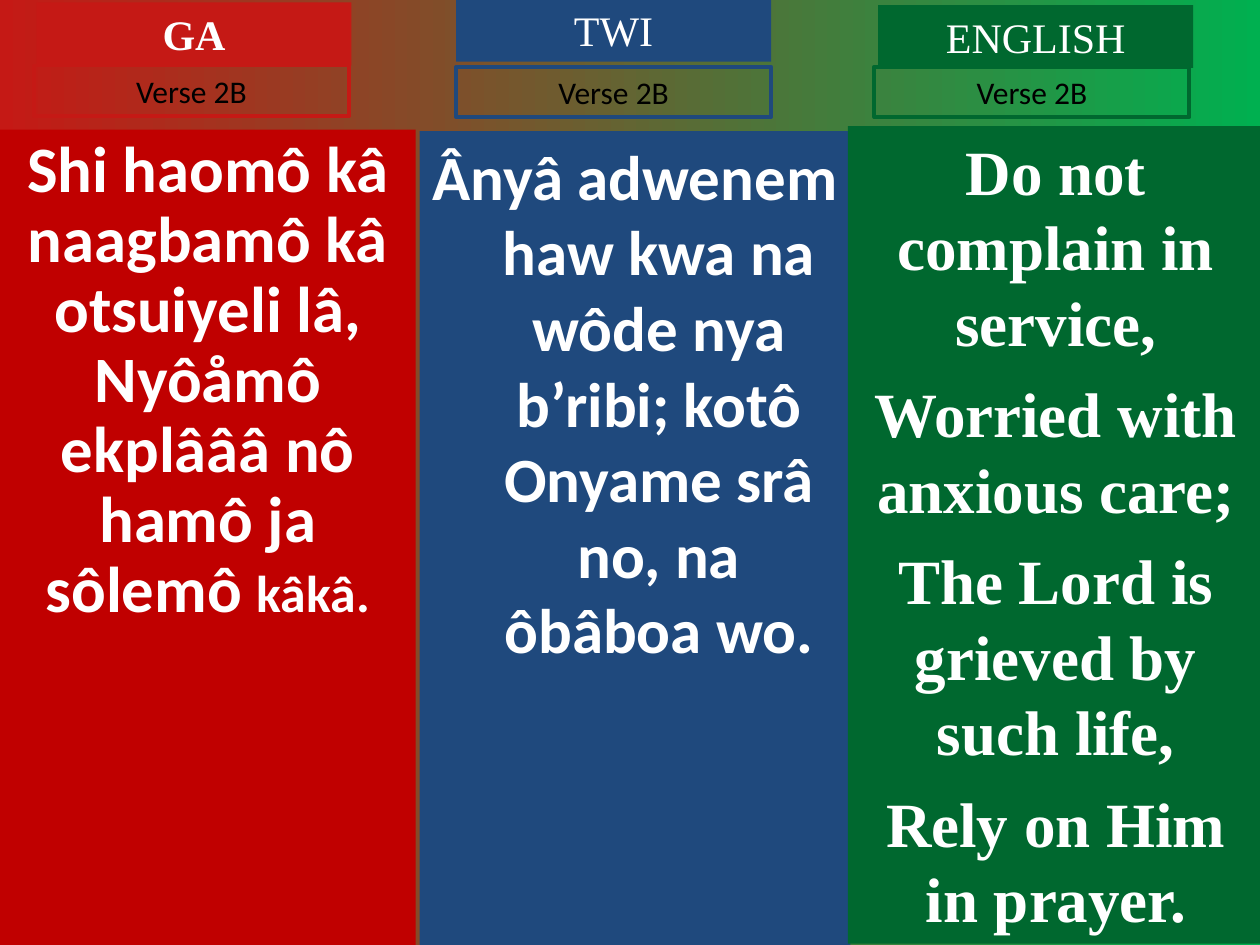
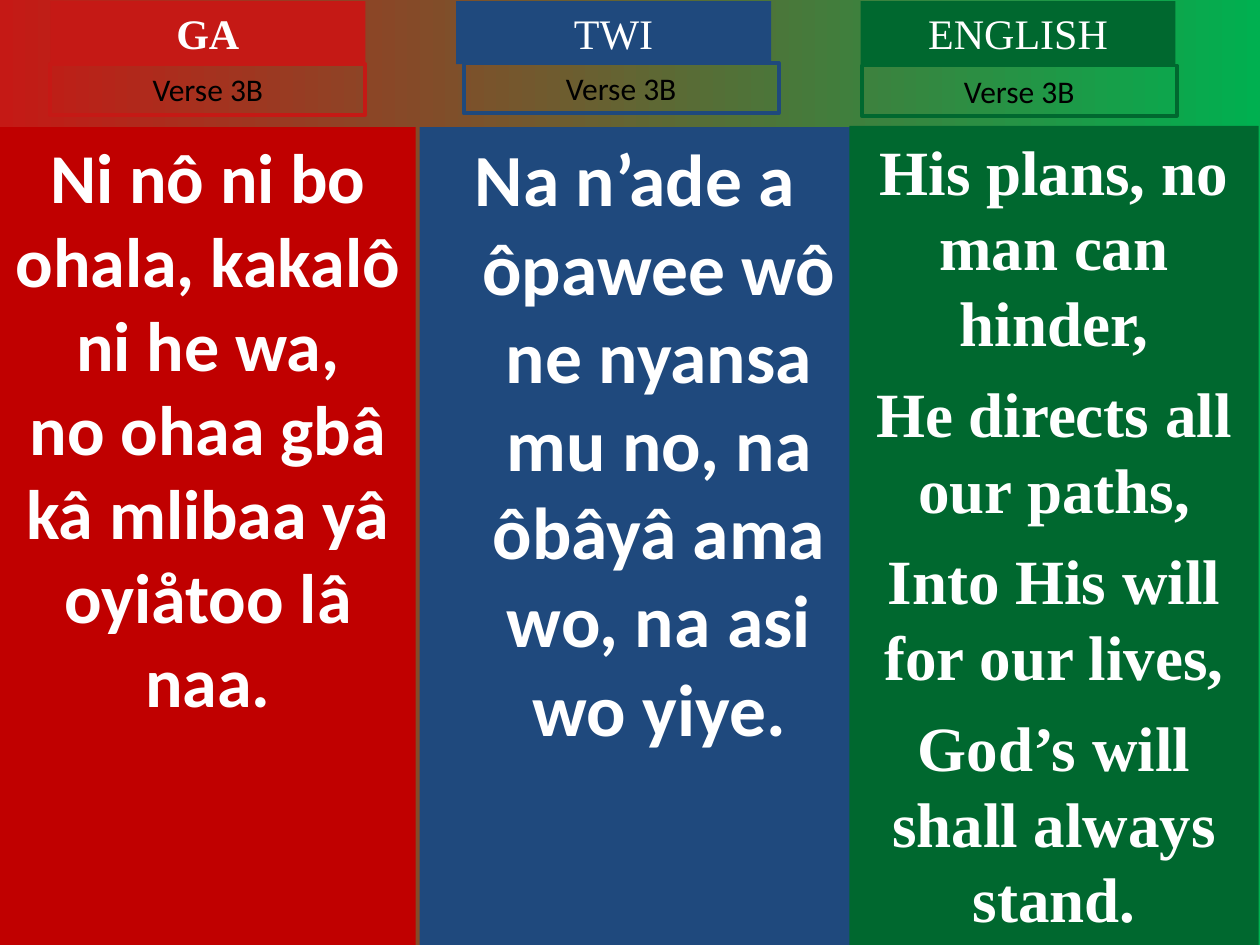
from pptx import Presentation
from pptx.dml.color import RGBColor
from pptx.enum.shapes import MSO_SHAPE as Preset
from pptx.enum.text import MSO_ANCHOR as Anchor, PP_ALIGN as Align
from pptx.util import Inches, Pt

COLORS = {"red": "C51915", "deep red": "C00000", "blue": "1F497D", "green": "00682F",
          "background end": "00B050", "white": "FFFFFF", "black": "000000"}
SANS, SERIF = "Calibri", "Times New Roman"
LANGUAGES = {
    "GA": {"tag": "red", "column": "deep red", "bold": True, "verse": {"name": SANS}},
    "TWI": {"tag": "blue", "column": "blue", "bold": False,
            "verse": {"name": SANS, "hanging": 0.38, "side": 0.08}},
    "ENGLISH": {"tag": "green", "column": "green", "bold": False,
                "verse": {"name": SERIF, "gap": 9}},
}
VERSES = [
    ("Verse 2B", {
        "GA": {"column": (0, 1.03, 3.3, 6.47), "tag": (0.29, 0.02), "label": (0.27, 0.52),
               "size": 37, "leading": 1.08,
               "lines": [["Shi haomô kâ naagbamô kâ otsuiyeli lâ,"],
                         ["Nyôåmô ekplâââ nô hamô ja sôlemô ", ("kâkâ.", 29.6)]]},
        "TWI": {"column": (3.33, 1.04, 3.42, 6.46), "tag": (3.62, -0.01), "label": (3.62, 0.53),
                "size": 36,
                "lines": [["Ânyâ adwenem haw kwa na wôde nya b’ribi; kotô Onyame srâ no, "
                           "na ôbâboa wo."]]},
        "ENGLISH": {"column": (6.73, 1, 3.3, 6.49), "tag": (6.97, 0.04), "label": (6.94, 0.53),
                    "size": 36,
                    "lines": [["Do not complain in service,"], ["Worried with anxious care;"],
                              ["The Lord is grieved by such life,"],
                              ["Rely on Him in prayer."]]},
    }),
    ("Verse 3B", {
        "GA": {"column": (0, 1.01, 3.3, 6.49), "tag": (0.4, 0.01), "label": (0.4, 0.51),
               "size": 40,
               "lines": [["Ni nô ni bo ohala, kakalô ni he wa,"],
                         ["no ohaa gbâ kâ mlibaa yâ oyiåtoo lâ naa."]]},
        "TWI": {"column": (3.33, 1.01, 3.42, 6.49), "tag": (3.62, 0.01), "label": (3.68, 0.5),
                "size": 42,
                "lines": [["Na n’ade a ôpawee wô ne nyansa mu no, na ôbâyâ ama wo, "
                           "na asi wo yiye."]]},
        "ENGLISH": {"column": (6.74, 1, 3.25, 6.5), "tag": (6.83, 0.01), "label": (6.84, 0.52),
                    "size": 36,
                    "lines": [["His plans, no man can hinder,"], ["He directs all our paths,"],
                              ["Into His will for our lives,"],
                              ["God’s will shall always stand."]]},
    }),
]


def color(name):
    """Return the named colour."""
    return RGBColor.from_string(COLORS[name])


def apply(target, **values):
    """Set each given attribute on the target."""
    for name, value in values.items():
        setattr(target, name, value)


class HymnDeck:
    """Build hymn slides with one column per language."""

    def __init__(self):
        """Start an empty presentation."""
        self.presentation = Presentation()
        apply(self.presentation, slide_width=Inches(10), slide_height=Inches(7.5))
        self.slide = None

    def add_slide(self):
        """Add a blank slide with the shared gradient."""
        self.slide = self.presentation.slides.add_slide(self.presentation.slide_layouts[6])
        fill = self.slide.background.fill
        fill.gradient()
        fill.gradient_angle = 0
        for stop, position, name in zip(fill.gradient_stops, (0, 1), ("red", "background end")):
            stop.position = position
            stop.color.rgb = color(name)

    def box(self, place, fill=None, line=None, side=0.1):
        """Add a rectangle and return its text frame."""
        shape = self.slide.shapes.add_shape(Preset.RECTANGLE, *map(Inches, place))
        shape.shadow.inherit = False
        if fill:
            shape.fill.solid()
            shape.fill.fore_color.rgb = color(fill)
        else:
            shape.fill.background()
        if line:
            shape.line.color.rgb = color(line)
            shape.line.width = Pt(2.25)
        else:
            shape.line.fill.background()
        frame = shape.text_frame
        apply(frame, word_wrap=True, vertical_anchor=Anchor.TOP,
              margin_left=Inches(side), margin_right=Inches(side),
              margin_top=Inches(0.05), margin_bottom=Inches(0.05))
        return frame

    def run(self, paragraph, text, ink="white", **font):
        """Add a formatted run to a paragraph."""
        run = paragraph.add_run()
        run.text = text
        apply(run.font, **font)
        run.font.color.rgb = color(ink)

    def caption(self, place, text, height, fill=None, line=None, **font):
        """Add a one-line centred box."""
        paragraph = self.box((*place, 2.5, height), fill, line).paragraphs[0]
        paragraph.alignment = Align.CENTER
        self.run(paragraph, text, **font)

    def column(self, place, fill, lines, size, name, leading=1.2, gap=0, hanging=0, side=0.1):
        """Add a column of verse text."""
        frame = self.box(place, fill, side=side)
        for index, parts in enumerate(lines):
            paragraph = frame.add_paragraph() if index else frame.paragraphs[0]
            apply(paragraph, alignment=Align.CENTER, line_spacing=Pt(size * leading),
                  space_before=Pt(gap if index else 0))
            if hanging:
                properties = paragraph._p.get_or_add_pPr()
                properties.set("marL", str(Inches(hanging)))
                properties.set("indent", str(-Inches(hanging)))
            for part in parts:
                text, part_size = (part, size) if isinstance(part, str) else part
                self.run(paragraph, text, name=name, size=Pt(part_size), bold=True)

    def verse(self, label, columns):
        """Add a slide that shows one verse in every language."""
        self.add_slide()
        for language, content in columns.items():
            style = LANGUAGES[language]
            self.column(content["column"], style["column"], content["lines"], content["size"],
                        leading=content.get("leading", 1.2), **style["verse"])
            self.caption(content["tag"], language, 0.5, fill=style["tag"],
                         name=SERIF, size=Pt(24), bold=style["bold"])
            self.caption(content["label"], label, 0.4, line=style["tag"],
                         ink="black", name=SANS, size=Pt(18))


def main():
    """Build and save the hymn slides."""
    deck = HymnDeck()
    for label, columns in VERSES:
        deck.verse(label, columns)
    deck.presentation.save("out.pptx")


if __name__ == "__main__":
    main()
